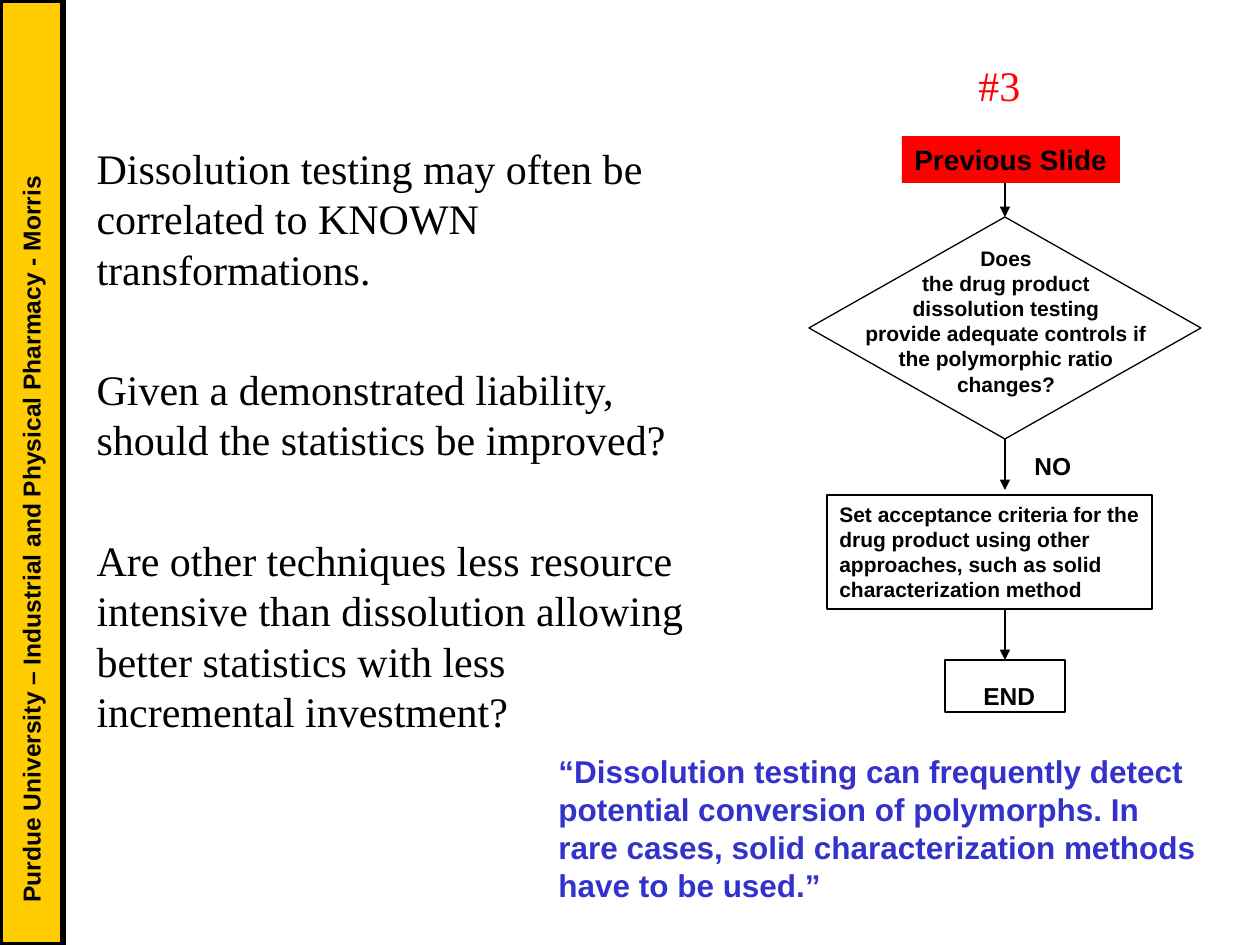
from lxml.etree import SubElement
from pptx import Presentation
from pptx.dml.color import RGBColor
from pptx.enum.shapes import MSO_CONNECTOR as Connector, MSO_SHAPE as Shape
from pptx.enum.text import MSO_ANCHOR as Anchor, MSO_AUTO_SIZE as AutoSize, PP_ALIGN as Align
from pptx.oxml.ns import qn
from pptx.util import Inches, Pt

PX_PER_INCH = 126
COLORS = {"black": "000000", "white": "FFFFFF", "gold": "FFCC00",
          "red": "FF0000", "blue": "3333CC"}


def px(length):
    return round(Inches(1) * length / PX_PER_INCH)


def rgb(name):
    return RGBColor.from_string(COLORS[name])


def write_text(shape, text, size=12, font="Arial", color="black", bold=True,
               align=Align.LEFT, wrap=False, gap=0, bullets=True):
    """Fill a shape with one paragraph per line of text."""
    frame = shape.text_frame
    frame.word_wrap = wrap
    frame.auto_size = AutoSize.NONE
    frame.vertical_anchor = Anchor.TOP
    frame.text = text
    for index, paragraph in enumerate(frame.paragraphs):
        if not bullets:
            properties = paragraph._p.get_or_add_pPr()
            properties.set("marL", "0")
            properties.set("indent", "0")
            SubElement(properties, qn("a:buNone"))
        paragraph.alignment = align
        paragraph.space_before = Pt(gap if index else 0)
        paragraph.font.size = Pt(size)
        paragraph.font.name = font
        paragraph.font.bold = bold
        paragraph.font.color.rgb = rgb(color)


def add_label(slide, left, top, width, height, text, **text_format):
    label = slide.shapes.add_textbox(px(left), px(top), px(width), px(height))
    write_text(label, text, **text_format)
    return label


def add_box(slide, left, top, width, height, kind=Shape.RECTANGLE,
            fill=None, line=None, text=None, **text_format):
    box = slide.shapes.add_shape(kind, px(left), px(top), px(width), px(height))
    box.shadow.inherit = False
    if fill:
        box.fill.solid()
        box.fill.fore_color.rgb = rgb(fill)
    else:
        box.fill.background()
    if line:
        box.line.color.rgb = rgb("black")
        box.line.width = Pt(line)
    else:
        box.line.fill.background()
    if text:
        write_text(box, text, **text_format)
    return box


def add_arrow(slide, x, top, bottom, source=None, target=None):
    """Draw a downward arrow, joined to the bottom of source and top of target."""
    arrow = slide.shapes.add_connector(Connector.STRAIGHT, px(x), px(top), px(x), px(bottom))
    if source:
        arrow.begin_connect(source, 2)
    if target:
        arrow.end_connect(target, 0)
    arrow.line.color.rgb = rgb("black")
    arrow.line.width = Pt(1)
    SubElement(arrow.line._get_or_add_ln(), qn("a:tailEnd"), type="triangle")
    SubElement(arrow._element.spPr, qn("a:effectLst"))


def add_sidebar(slide, left, top, width, height):
    add_box(slide, left, top, width, height, fill="gold", line=3)
    label = add_label(slide, left - 344, top + 518, 751, 43,
                      "Purdue University – Industrial and Physical Pharmacy - Morris", size=14)
    label.rotation = 270


def add_questions(slide, left, top, width, height):
    body = slide.placeholders[1]
    body.left, body.top, body.width, body.height = map(px, (left, top, width, height))
    questions = [
        "Dissolution testing may often be correlated to KNOWN transformations.",
        "Given a demonstrated liability, should the statistics be improved?",
        "Are other techniques less resource intensive than dissolution allowing "
        "better statistics with less incremental investment?",
    ]
    write_text(body, "\n".join(questions), size=24, font="Times New Roman",
               bold=False, wrap=True, gap=40, bullets=False)


def add_flowchart(slide, left, top, width):
    axis = left + width // 2

    # Decision
    decision = add_box(slide, left, top + 81, width, 222, kind=Shape.DIAMOND, line=0.75)
    add_label(slide, axis - 152, top + 103, 306, 164,
              "Does\nthe drug product\ndissolution testing\nprovide adequate controls if\n"
              "the polymorphic ratio\nchanges?", align=Align.CENTER)

    # Entry from the slide before
    add_arrow(slide, axis, top + 38, top + 81, target=decision)
    add_box(slide, axis - 103, top, 218, 47, fill="red", text="Previous Slide", size=16)

    # Branch for the answer NO
    add_arrow(slide, axis, top + 303, top + 354, source=decision)
    add_label(slide, axis + 17, top + 309, 62, 43, "NO", size=14)
    add_box(slide, axis - 178, top + 359, 325, 114, line=0.75,
            text="Set acceptance criteria for the\ndrug product using other\n"
                 "approaches, such as solid\ncharacterization method")

    # End
    end = add_box(slide, axis - 60, top + 524, 120, 52, line=1)
    add_arrow(slide, axis, top + 474, top + 524, target=end)
    add_label(slide, axis - 34, top + 539, 77, 43, "END", size=14)


def add_quote(slide, left, top, width, height):
    add_box(slide, left, top, width, height, fill="white", size=18, color="blue", wrap=True,
            text="“Dissolution testing can frequently detect potential conversion of "
                 "polymorphs. In rare cases, solid characterization methods have to be used.”")


def main():
    presentation = Presentation()
    presentation.slide_width, presentation.slide_height = px(1260), px(945)
    slide = presentation.slides.add_slide(presentation.slide_layouts[1])
    title = slide.shapes.title._element
    title.getparent().remove(title)

    add_sidebar(slide, 0, 0, 63, 945)
    add_questions(slide, 84, 136, 630, 746)
    add_flowchart(slide, 809, 136, 392)
    add_quote(slide, 546, 746, 673, 164)
    add_label(slide, 966, 53, 67, 63, "#3", size=24, font="Times New Roman",
              color="red", bold=False)
    presentation.save("out.pptx")


if __name__ == "__main__":
    main()
